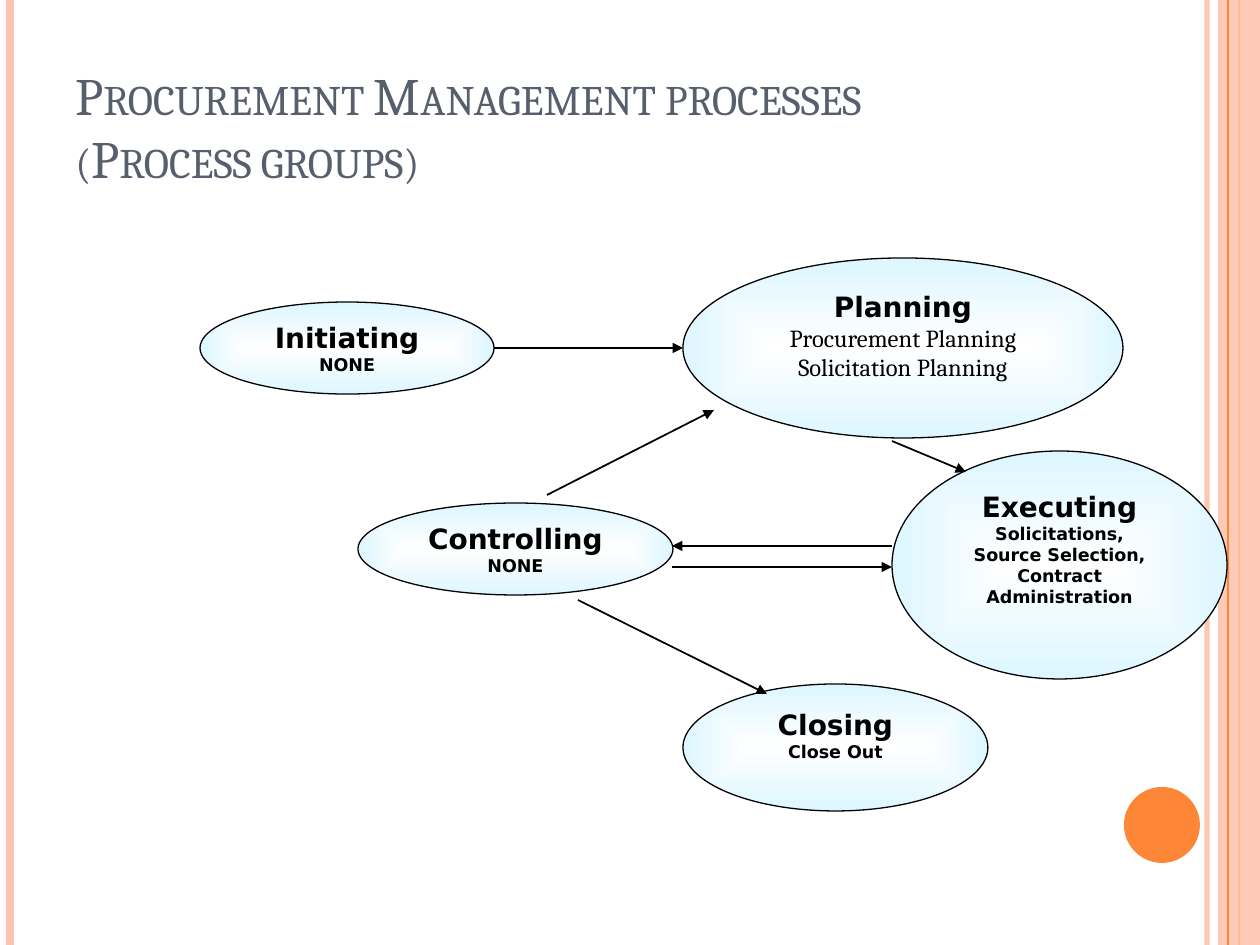
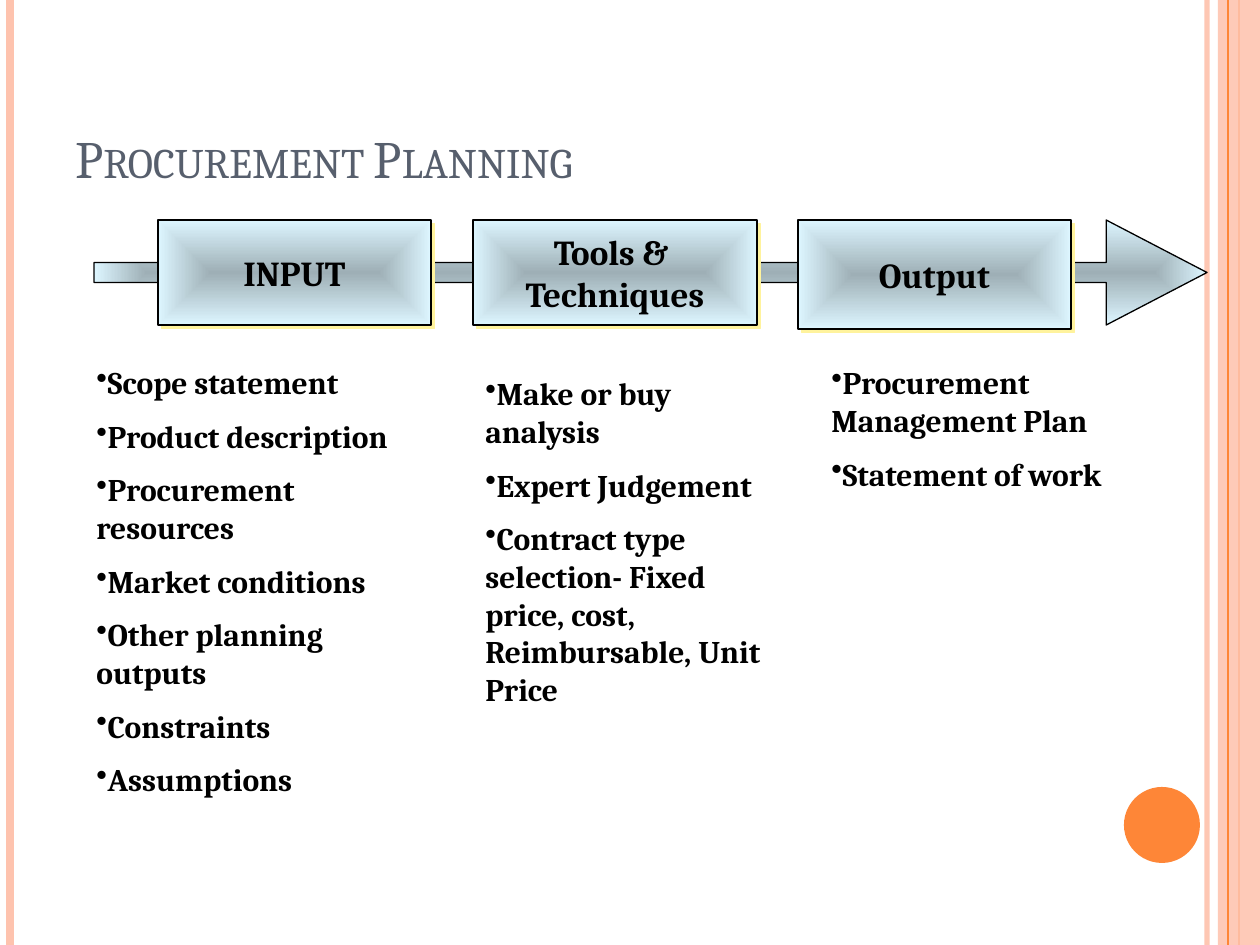
from pptx import Presentation, util as u
from pptx.dml.color import RGBColor
from pptx.enum import shapes, text
from pptx.oxml import parse_xml
from pptx.oxml.ns import nsdecls

PX = 914400 / 126
W, H = 1260, 945
HEX = dict(title="575F6D", ink="000000", pale="FEC3AE", dot="FE8637",
           sky="DDF6FF", white="FFFFFF", glow="FFF39D")
SERIF, SANS = "Cambria", "DejaVu Sans"
KIND = shapes.MSO_SHAPE
MID = text.PP_ALIGN.CENTER

# Content: x, y, width, height, bottom gap, head, lines, format of lines
small = dict(size=10, font=SANS, bold=True)
body = dict(size=14, font=SERIF)
GROUPS = [
    (200, 302, 294, 92, 0, "Initiating", ["NONE"], small),
    (683, 258, 440, 180, 25, "Planning",
     ["Procurement Planning", "Solicitation Planning"], body),
    (892, 451, 335, 228, 33, "Executing",
     ["Solicitations,", "Source Selection,", "Contract Administration"], small),
    (358, 503, 315, 92, 0, "Controlling", ["NONE"], small),
    (683, 684, 305, 127, 25, "Closing", ["Close Out"], small),
]
FLOWS = [(494, 348, 683, 348), (892, 441, 966, 472), (892, 546, 672, 546),
         (672, 567, 892, 567), (547, 495, 714, 410), (578, 600, 767, 694)]

# Content: box (x, width, height), head lines, list (x, y, width, height), items
STEPS = [
    ((158, 273, 105), ["INPUT"], (84, 357, 347, 467),
     ["Scope statement", "Product description", "Procurement resources",
      "Market conditions", "Other planning outputs", "Constraints",
      "Assumptions"]),
    ((473, 284, 105), ["Tools & ", "Techniques"], (473, 368, 315, 354),
     ["Make or buy analysis", "Expert Judgement",
      "Contract type selection- Fixed price, cost, Reimbursable, Unit Price"]),
    ((798, 273, 109), ["Output"], (819, 357, 305, 260),
     ["Procurement Management Plan", "Statement of work"]),
]

# Bands: x, colour, width in points, opacity
BANDS = [(1207, "pale", 3, 93), (10, "pale", 4.5, 100), (1239, "dot", 1.5, 100)]
EDGE = (1228, "dot", 0.75, 100)


def px(*vals):
    return [u.Emu(round(v * PX)) for v in vals]


def xml(tag, inner="", **attrs):
    pairs = "".join(f' {k}="{v}"' for k, v in attrs.items())
    return f"<a:{tag}{pairs}>{inner}</a:{tag}>"


def node(tag, inner="", **attrs):
    return parse_xml(xml(tag, inner, **attrs).replace(
        f"<a:{tag}", f"<a:{tag} {nsdecls('a')}", 1))


def fade(fill, alpha):
    if alpha < 100:
        clr = fill._xPr.find(".//{*}srgbClr")
        clr.append(node("alpha", val=alpha * 1000))


def write(frame, words, size=18, font=SERIF, color="ink", bold=False,
          align=None, caps=False, bullet=False, more=False):
    """Set one paragraph; more=True adds it after those already there."""
    para = frame.add_paragraph() if more else frame.paragraphs[0]
    para.text = words
    if align is not None:
        para.alignment = align
    for run in para.runs:
        face = run.font
        face.size, face.name, face.bold = u.Pt(size), font, bold
        face.color.rgb = RGBColor.from_string(HEX[color])
        if caps:
            run._r.get_or_add_rPr().set("cap", "small")
    if bullet:
        props = para._p.get_or_add_pPr()
        props.append(node("spcBef", xml("spcPct", val=50000)))
        props.append(node("buChar", char="\u2022"))


def line(slide, ends, color="ink", width=1, alpha=100, head=False):
    rule = slide.shapes.add_connector(shapes.MSO_CONNECTOR.STRAIGHT, *px(*ends))
    rule.line.width = u.Pt(width)
    rule.line.color.rgb = RGBColor.from_string(HEX[color])
    fade(rule.line.fill, alpha)
    if head:
        rule.line._get_or_add_ln().append(node("tailEnd", type="triangle"))
    rule.element.spPr.append(node("effectLst"))


def shape(slide, kind, box, color=None, alpha=100):
    form = slide.shapes.add_shape(kind, *px(*box))
    form.shadow.inherit = False
    if color:
        form.fill.solid()
        form.fill.fore_color.rgb = RGBColor.from_string(HEX[color])
        fade(form.fill, alpha)
        form.line.fill.background()
    else:
        form.line.width = u.Pt(0.75)
        form.line.color.rgb = RGBColor.from_string(HEX["ink"])
    return form


def blend(form, core, shade="", path="shape"):
    """Fill from a core colour in the middle to sky at the rim."""
    stops = (xml("gs", xml("srgbClr", shade, val=HEX[core]), pos=0)
             + xml("gs", xml("srgbClr", val=HEX["sky"]), pos=100000))
    spot = xml("fillToRect", l=50000, t=50000, r=50000, b=50000)
    grad = node("gradFill", xml("gsLst", stops) + xml("path", spot, path=path))
    form.element.spPr.find("{*}prstGeom").addnext(grad)


def textbox(slide, box):
    frame = slide.shapes.add_textbox(*px(*box)).text_frame
    frame.word_wrap = True
    return frame


def frame_slide(deck):
    slide = deck.slides.add_slide(deck.slide_layouts[6])
    for x, *look in BANDS:
        line(slide, (x, 0, x, H), *look)
    shape(slide, KIND.RECTANGLE, (1218, 0, W - 1218, H), "pale", 87)
    x, *look = EDGE
    line(slide, (x, 0, x, H), *look)
    shape(slide, KIND.OVAL, (1124, 787, 76, 76), "dot")
    return slide


def title(slide, words):
    frame = textbox(slide, (63, 38, 1029, 195 - 38))
    frame.vertical_anchor = text.MSO_ANCHOR.BOTTOM
    write(frame, words, size=30, color="title", caps=True)


deck = Presentation()
deck.slide_width, deck.slide_height = px(W, H)

# Process groups
slide = frame_slide(deck)
title(slide, "Procurement Management processes\v(Process groups)")
for x, y, w, h, gap, head, rows, look in GROUPS:
    oval = shape(slide, KIND.OVAL, (x, y, w, h))
    blend(oval, "white")
    frame = oval.text_frame
    frame.margin_bottom = px(6 + gap)[0]
    write(frame, head, size=16, font=SANS, bold=True, align=MID)
    for row in rows:
        write(frame, row, align=MID, more=True, **look)
for ends in FLOWS:
    line(slide, ends, head=True)

# Planning steps
DARK = xml("shade", val=46275)
TOP = 220
slide = frame_slide(deck)
arrow = shape(slide, KIND.RIGHT_ARROW, (94, TOP, 1113, 105))
arrow.adjustments[0], arrow.adjustments[1] = 0.19, 0.96
blend(arrow, "sky", DARK, "rect")
title(slide, "Procurement Planning")
for (x, w, h), heads, area, items in STEPS:
    box = shape(slide, KIND.RECTANGLE, (x, TOP, w, h))
    blend(box, "sky", DARK)
    box.element.spPr.find("{*}effectLst").append(
        node("outerShdw", xml("srgbClr", val=HEX["glow"]),
             dist=u.Pt(2.8), dir=45 * 60000, algn="ctr", rotWithShape=0))
    box.text_frame.word_wrap = False
    for i, head in enumerate(heads):
        write(box.text_frame, head, size=20, bold=True, align=MID, more=i > 0)
    frame = textbox(slide, area)
    frame.auto_size = text.MSO_AUTO_SIZE.SHAPE_TO_FIT_TEXT
    for i, item in enumerate(items):
        write(frame, item, bold=True, bullet=True, more=i > 0)

deck.save("out.pptx")
